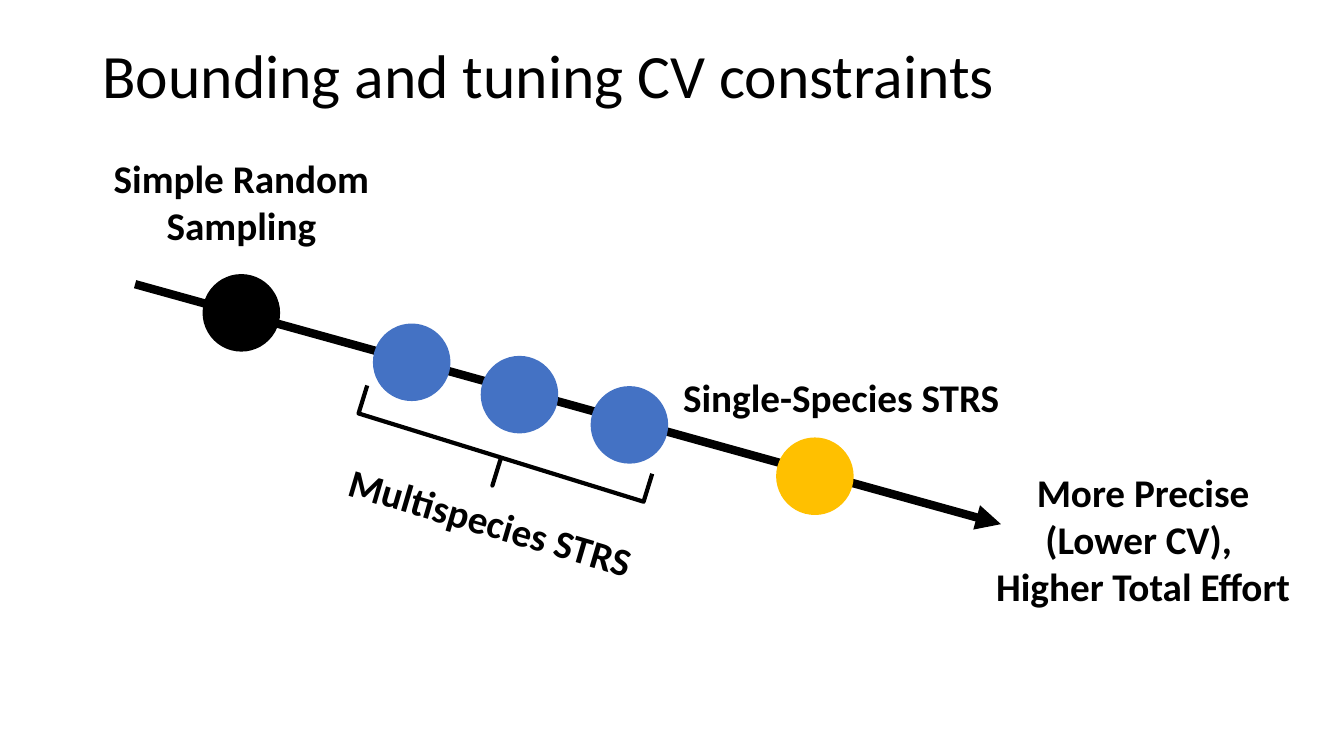
"""Build a slide that places sampling designs along a precision and effort arrow."""
from lxml import etree
from pptx import Presentation
from pptx.dml.color import RGBColor
from pptx.enum import shapes, text
from pptx.oxml import ns
from pptx.util import Pt

BLACK = RGBColor(0x00, 0x00, 0x00)
BLUE = RGBColor(0x44, 0x72, 0xC4)
GOLD = RGBColor(0xFF, 0xC0, 0x00)
RED = RGBColor(0xFF, 0x00, 0x00)
DIAMETER = 55.4

deck = Presentation()
deck.slide_width, deck.slide_height = Pt(960), Pt(540)
page = deck.slides.add_slide(deck.slide_layouts[6])


def add_text(words, left, top, width, height, size=28, bold=True, color=BLACK,
             align=text.PP_ALIGN.CENTER, fit=text.MSO_AUTO_SIZE.SHAPE_TO_FIT_TEXT,
             spacing=1.0, rotation=0):
    box = page.shapes.add_textbox(Pt(left), Pt(top), Pt(width), Pt(height))
    box.rotation = rotation
    frame = box.text_frame
    frame.word_wrap = True
    frame.auto_size = fit
    frame.text = words
    for para in frame.paragraphs:
        para.alignment = align
        para.line_spacing = spacing
        for span in para.runs:
            span.font.name = "Calibri"
            span.font.size = Pt(size)
            span.font.bold = bold
            span.font.color.rgb = color


arrow = page.shapes.add_connector(
    shapes.MSO_CONNECTOR.STRAIGHT, Pt(96.5), Pt(203), Pt(715), Pt(374.4))
arrow.line.color.rgb = BLACK
arrow.line.width = Pt(6)
etree.SubElement(arrow.line._get_or_add_ln(), ns.qn("a:tailEnd"), type="triangle")
etree.SubElement(arrow._element.spPr, ns.qn("a:effectLst"))

for left, top, color in [
    (144.7, 195.8, BLACK),
    (266.4, 231.1, BLUE),
    (343.4, 254.2, BLUE),
    (421.9, 275.8, BLUE),
    (554.4, 312.5, GOLD),
]:
    design = page.shapes.add_shape(
        shapes.MSO_SHAPE.OVAL, Pt(left), Pt(top), Pt(DIAMETER), Pt(DIAMETER))
    design.shadow.inherit = False
    design.fill.solid()
    design.fill.fore_color.rgb = color
    design.line.fill.background()

brace = page.shapes.add_shape(
    shapes.MSO_SHAPE.RIGHT_BRACE, Pt(337), Pt(220.3), Pt(41.8), Pt(213.1))
brace.adjustments[0] = 0
brace.adjustments[1] = 0.5
brace.rotation = 107.2
brace.shadow.inherit = False
brace.fill.background()
brace.line.color.rgb = BLACK
brace.line.width = Pt(3)

add_text("Bounding and tuning CV constraints", 66.2, 28.8, 828, 104.4, size=44,
         bold=False, align=text.PP_ALIGN.LEFT, fit=text.MSO_AUTO_SIZE.NONE, spacing=0.9)
add_text("Simple Random Sampling", 23, 106.6, 298.8, 74.9)
add_text("Single-Species STRS", 451.4, 262.8, 298.8, 41)
add_text("Multispecies STRS", 200.9, 352.1, 298.8, 41, rotation=16.4)
add_text("More Precise (Lower CV), \nHigher Total Effort", 697.7, 331.2, 237.6, 108.7)

deck.save("out.pptx")
